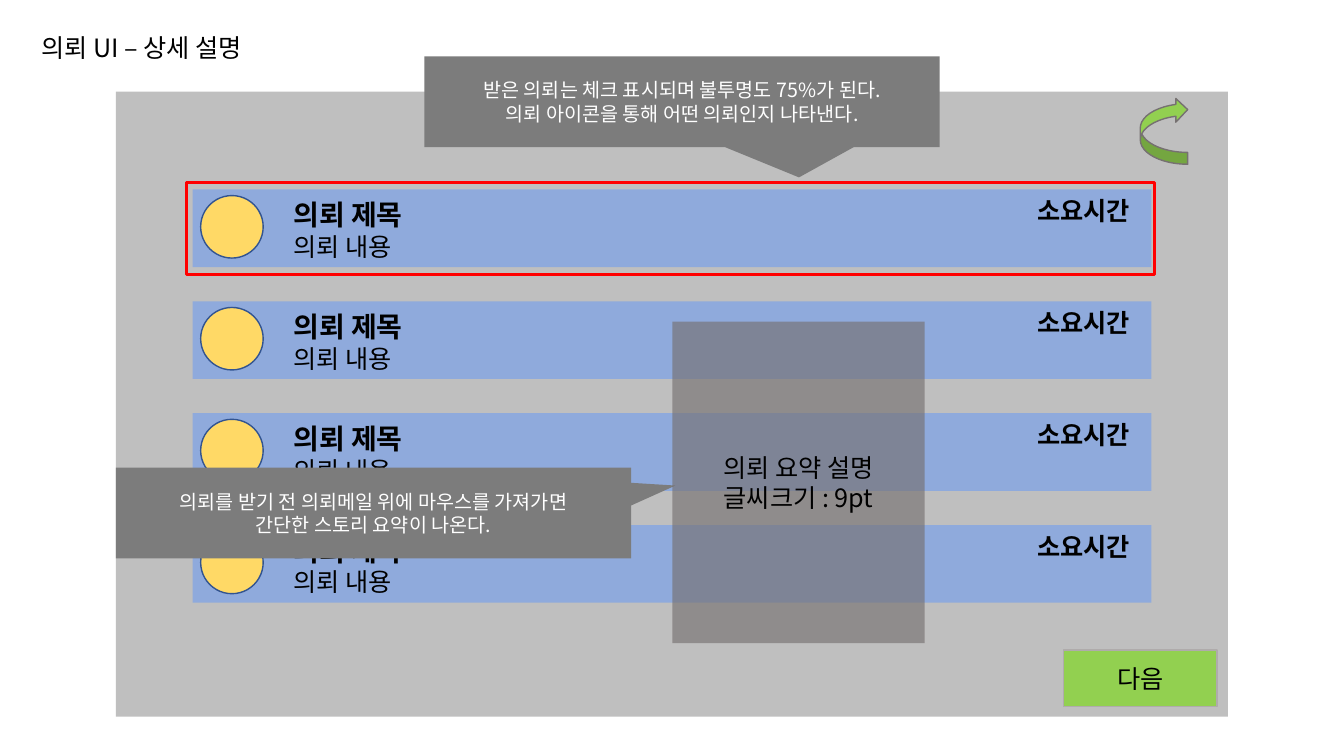
from lxml import etree
from pptx import Presentation
from pptx.dml.color import RGBColor
from pptx.enum.shapes import MSO_SHAPE
from pptx.enum.text import MSO_ANCHOR, MSO_AUTO_SIZE, PP_ALIGN
from pptx.oxml.ns import qn
from pptx.util import Pt

RECT, OVAL = MSO_SHAPE.RECTANGLE, MSO_SHAPE.OVAL
CALLOUT, CURVED_ARROW = MSO_SHAPE.RECTANGULAR_CALLOUT, MSO_SHAPE.CURVED_RIGHT_ARROW
MIDDLE, CENTER, LEFT = MSO_ANCHOR.MIDDLE, PP_ALIGN.CENTER, PP_ALIGN.LEFT
GROW = MSO_AUTO_SIZE.SHAPE_TO_FIT_TEXT

BLACK = RGBColor(0x00, 0x00, 0x00)
WHITE = RGBColor(0xFF, 0xFF, 0xFF)
PANEL_GRAY = RGBColor(0xBF, 0xBF, 0xBF)
NOTE_GRAY = RGBColor(0x7C, 0x7C, 0x7C)
DARK_GRAY = RGBColor(0x76, 0x71, 0x71)
EDGE_GRAY = RGBColor(0xAF, 0xAB, 0xAB)
BLUE = RGBColor(0x8F, 0xAA, 0xDC)
NAVY = RGBColor(0x32, 0x54, 0x91)
YELLOW = RGBColor(0xFF, 0xD9, 0x66)
GREEN = RGBColor(0x92, 0xD0, 0x50)
RED = RGBColor(0xFF, 0x00, 0x00)

PX = 9144  # 100 px to the inch


class Board:
    font = "Noto Sans CJK KR"

    def __init__(self, slide):
        self.slide = slide
        self.shapes = slide.shapes

    def set_lines(self, tf, lines, sizes, color, bolds=(False,), align=LEFT):
        tf.text = "\n".join(lines)
        for i, p in enumerate(tf.paragraphs):
            p.alignment = align
            for r in p.runs:
                r.font.size = Pt(sizes[i % len(sizes)])
                r.font.bold = bolds[i % len(bolds)]
                r.font.color.rgb = color
                r.font.name = self.font
                ea = etree.SubElement(r._r.get_or_add_rPr(), qn("a:ea"))
                ea.set("typeface", self.font)

    def shape(self, kind, box, fill=None, line=None, weight=1, alpha=None):
        s = self.shapes.add_shape(kind, *(v * PX for v in box))
        s.shadow.inherit = False
        if fill is None:
            s.fill.background()
        else:
            s.fill.solid()
            s.fill.fore_color.rgb = fill
        if alpha is not None:
            clr = s._element.spPr.find(qn("a:solidFill"))[0]
            etree.SubElement(clr, qn("a:alpha")).set("val", str(alpha * 1000))
        if line is None:
            s.line.fill.background()
        else:
            s.line.color.rgb = line
            s.line.width = Pt(weight)
        return s

    def label(self, s, lines, size=18, color=BLACK):
        s.text_frame.vertical_anchor = MIDDLE
        s.text_frame.word_wrap = True
        self.set_lines(s.text_frame, lines, [size], color, align=CENTER)

    def text(self, box, lines, sizes=(18,), bolds=(False,), wrap=False):
        tf = self.shapes.add_textbox(*(v * PX for v in box)).text_frame
        tf.word_wrap = wrap
        tf.auto_size = GROW
        self.set_lines(tf, lines, sizes, BLACK, bolds)

    def callout(self, x, y, tip, lines):
        s = self.shape(CALLOUT, (x, y, 511, 90), NOTE_GRAY)
        s.adjustments[0], s.adjustments[1] = tip
        self.label(s, lines, 14, WHITE)

    def quest(self, y):
        self.shapes = self.slide.shapes.add_group_shape().shapes
        self.shape(RECT, (191, y, 951, 77), BLUE)
        self.text((281, y + 3, 168, 74), ["의뢰 제목", "의뢰 내용"],
                  (20, 18), (True, False), wrap=True)
        self.shape(OVAL, (199, y + 6, 62, 62), YELLOW, NAVY)
        self.text((1019, y + 1, 121, 40), ["소요시간"], bolds=(True,))
        self.shapes = self.slide.shapes


def main():
    prs = Presentation()
    prs.slide_width, prs.slide_height = 1333 * PX, 750 * PX
    board = Board(prs.slides.add_slide(prs.slide_layouts[6]))

    # Window and title
    board.shape(RECT, (115, 91, 1103, 620), PANEL_GRAY)
    board.text((31, 27, 245, 40), ["의뢰 UI – 상세 설명"])

    # Quest list
    for row in range(4):
        board.quest(188 + 111 * row)

    # Next button and back arrow
    button = board.shape(RECT, (1055, 645, 152, 56), GREEN, EDGE_GRAY)
    board.label(button, ["다음"])
    arrow = board.shape(CURVED_ARROW, (1131, 97, 47, 66), GREEN, DARK_GRAY)
    arrow._element.spPr.find(qn("a:xfrm")).set("flipV", "1")

    # Highlight, notes and summary pop-up
    board.shape(RECT, (185, 181, 960, 91), line=RED, weight=2.25)
    board.callout(115, 464, (0.586, -0.303),
                  ["의뢰를 받기 전 의뢰메일 위에 마우스를 가져가면",
                   "간단한 스토리 요약이 나온다."])
    popup = board.shape(RECT, (667, 319, 250, 319), DARK_GRAY, alpha=65)
    board.label(popup, ["의뢰 요약 설명", "글씨크기 : 9pt"])
    board.callout(421, 56, (0.227, 0.834),
                  ["받은 의뢰는 체크 표시되며 불투명도 75%가 된다.",
                   "의뢰 아이콘을 통해 어떤 의뢰인지 나타낸다."])

    prs.save("out.pptx")


if __name__ == "__main__":
    main()
